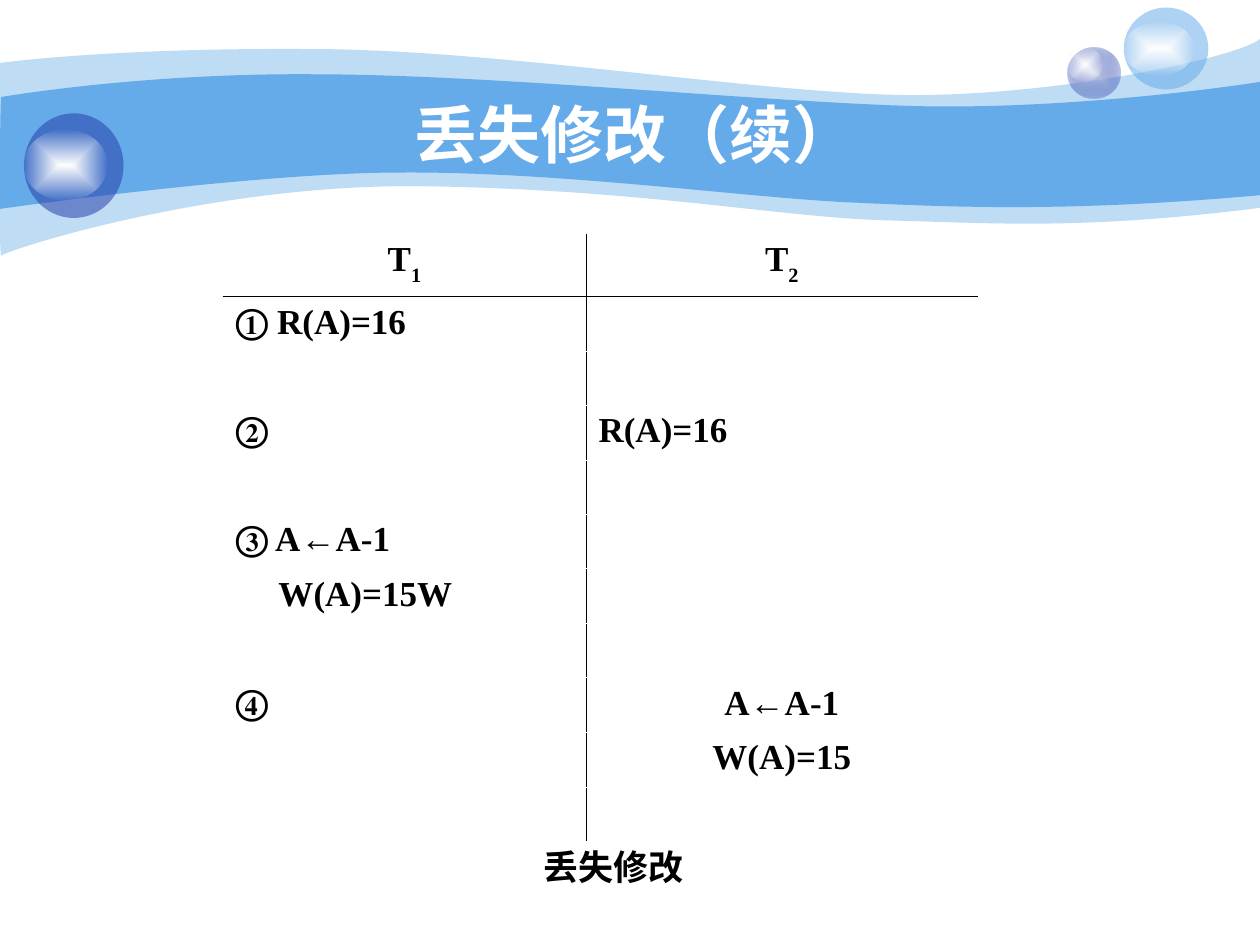
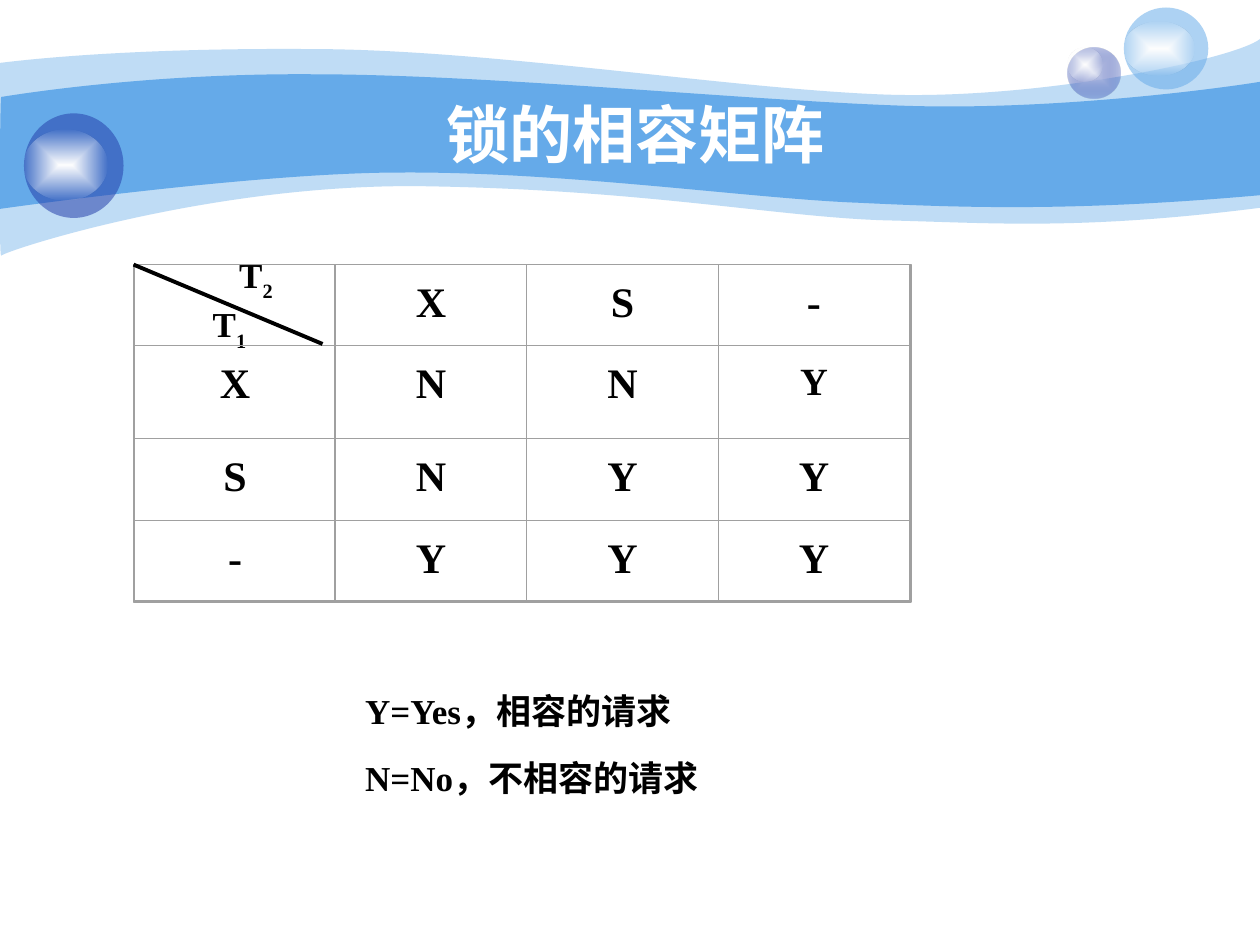
from dataclasses import dataclass

from pptx import Presentation
from pptx.dml.color import RGBColor
from pptx.enum.shapes import MSO_CONNECTOR, MSO_SHAPE
from pptx.enum.text import MSO_ANCHOR, PP_ALIGN
from pptx.oxml import parse_xml
from pptx.oxml.ns import nsdecls, qn
from pptx.util import Inches, Pt

LEFT, CENTER = PP_ALIGN.LEFT, PP_ALIGN.CENTER
OVAL, RECTANGLE = MSO_SHAPE.OVAL, MSO_SHAPE.RECTANGLE
STRAIGHT = MSO_CONNECTOR.STRAIGHT


@dataclass(frozen=True)
class Theme:
    sky: str = "65AAE9"
    navy: str = "233DA9"
    mist: str = "C7CEE9"
    white: str = "FFFFFF"
    black: str = "000000"
    gray: str = "A0A0A0"
    title_font: str = "Arial"
    body_font: str = "Times New Roman"
    title_size: int = 36
    matrix_size: int = 24
    small_matrix_size: int = 22
    body_size: int = 20
    cell_line: float = 0
    table_line: float = 0.45
    frame_line: float = 0.88
    diagonal_line: float = 2.25


THEME = Theme()

# Each wave: start point, then Bezier curves (six numbers) and straight lines (two).
PALE_WAVE = [
    (0, 0.5),
    (0.24, 0.47, 1.07, 0.38, 2.47, 0.39), (3.86, 0.39, 5.75, 0.7, 6.99, 0.75),
    (8.22, 0.8, 9.8, 0.47, 10, 0.31), (10, 1.65),
    (8.58, 1.83, 7.87, 1.77, 7.05, 1.75), (6.22, 1.73, 5.15, 1.51, 3.43, 1.48),
    (1.72, 1.44, 0.04, 1.99, 0.01, 2.03), (-0.01, 2.08, 0, 0.75, 0, 0.5),
]
DEEP_WAVE = [
    (0.01, 0.77),
    (0.02, 0.77, 1.1, 0.58, 2.48, 0.59), (3.86, 0.59, 5.95, 0.8, 7.18, 0.84),
    (8.41, 0.88, 9.76, 0.69, 10, 0.65), (10, 1.55),
    (8.53, 1.68, 7.65, 1.65, 6.82, 1.61), (5.99, 1.58, 4.47, 1.36, 3.17, 1.37),
    (2.03, 1.37, -0.02, 1.66, -0.01, 1.66), (0, 1.66, 0, 0.77, 0.01, 0.77),
]
# Opacity in percent follows each colour; two stops make a gradient.
WAVES = [(PALE_WAVE, [(THEME.sky, 41)]), (DEEP_WAVE, [(THEME.sky, 100)])]
GLOW = [(THEME.white, 100), (THEME.white, 0)]
BUBBLES = [
    ((8.47, 0.38, 0.42, 0.4), [(THEME.mist, 100), (THEME.navy, 31)]),
    ((8.47, 0.38, 0.28, 0.27), GLOW),
    ((8.92, 0.06, 0.67, 0.65), [(THEME.sky, 53)]),
    ((8.92, 0.17, 0.56, 0.43), GLOW),
    ((0.19, 0.9, 0.79, 0.83), [(THEME.navy, 53)]),
    ((0.19, 1.03, 0.66, 0.56), GLOW),
]
TITLE_BOX = (1, 0.75, 8.08, 0.62)

# An underscore starts a subscript.
SCHEDULE_TITLE = "丢失修改（续）"
SCHEDULE_CAPTION = "丢失修改"
SCHEDULE = [
    ("T_1", "T_2"),
    ("① R(A)=16", ""),
    ("", ""),
    ("②", "R(A)=16"),
    ("", ""),
    ("③ A←A-1", ""),
    ("W(A)=15W", ""),
    ("", ""),
    ("④", "A←A-1"),
    ("", "W(A)=15"),
    ("", ""),
]
SCHEDULE_COLUMNS = [2.88, 3.11]
SCHEDULE_ROWS = [0.49] + [0.43] * 10
CENTERED_CELLS = {(0, 0), (0, 1), (8, 1), (9, 1)}
STEP_INDENTS = {(6, 0): 0.34}

MATRIX_TITLE = "锁的相容矩阵"
MATRIX = [
    ("", "X", "S", "-"),
    ("X", "N", "N", "Y"),
    ("S", "N", "Y", "Y"),
    ("-", "Y", "Y", "Y"),
]
MATRIX_X = [1.07, 2.66, 4.18, 5.7, 7.22]
MATRIX_Y = [2.1, 2.74, 3.48, 4.13, 4.77]
MATRIX_FRAME = (1.06, 2.1, 6.17, 2.68)
CELL_PADDING = 0.155
CELL_TOP_INSET = 0.09
SMALL_CELL = (1, 3)
CORNER_LABELS = [("T_2", 0.34), ("T_1", 0.13)]
LEGEND = ["Y=Yes，相容的请求", "N=No，不相容的请求"]


def inches(values):
    return [Inches(value) for value in values]


def paint(shape, stops):
    """Fill with one colour or a rectangular gradient, each with its opacity."""
    shape.shadow.inherit = False
    shape.line.fill.background()
    shape.fill.background()
    colors = [
        f'<a:srgbClr val="{color}"><a:alpha val="{opacity * 1000}"/></a:srgbClr>'
        for color, opacity in stops
    ]
    if len(colors) == 1:
        xml = f'<a:solidFill {nsdecls("a")}>{colors[0]}</a:solidFill>'
    else:
        xml = (
            f'<a:gradFill {nsdecls("a")} rotWithShape="1"><a:gsLst>'
            f'<a:gs pos="0">{colors[0]}</a:gs><a:gs pos="100000">{colors[1]}</a:gs>'
            '</a:gsLst><a:path path="rect">'
            '<a:fillToRect l="50000" t="50000" r="50000" b="50000"/>'
            '</a:path></a:gradFill>'
        )
    properties = shape._element.spPr
    properties.replace(properties.find(qn("a:noFill")), parse_xml(xml))


def add_wave(slide, wave):
    """Lay out all points as lines, then join each curve's three into a Bezier."""
    points = [inches(part[index:index + 2])
              for part in wave for index in range(0, len(part), 2)]
    builder = slide.shapes.build_freeform(*points[0])
    builder.add_line_segments(points[1:], close=True)
    shape = builder.convert_to_shape()
    segments = iter(list(shape._element.iter(qn("a:lnTo"))))
    for part in wave[1:]:
        first = next(segments)
        if len(part) == 2:
            continue
        curve = parse_xml(f'<a:cubicBezTo {nsdecls("a")}/>')
        first.addprevious(curve)
        for segment in (first, next(segments), next(segments)):
            curve.append(segment[0])
            segment.getparent().remove(segment)
    return shape


def write(paragraph, text, size, font=THEME.body_font, color=THEME.black,
          align=LEFT, indent=0):
    paragraph.alignment = align
    if indent:
        paragraph._p.get_or_add_pPr().set("marL", str(Inches(indent)))
    for index, part in enumerate(text.split("_")):
        run = paragraph.add_run()
        run.text = part
        run.font.name = font
        run.font.size = Pt(size)
        run.font.bold = True
        run.font.color.rgb = RGBColor.from_string(color)
        if index:
            run.font._element.set("baseline", "-30000")


def add_text_frame(slide, box, wrap=True):
    frame = slide.shapes.add_textbox(*inches(box)).text_frame
    frame.word_wrap = wrap
    return frame


def add_base_slide(presentation, title):
    slide = presentation.slides.add_slide(presentation.slide_layouts[6])
    for wave, stops in WAVES:
        paint(add_wave(slide, wave), stops)
    for box, stops in BUBBLES:
        paint(slide.shapes.add_shape(OVAL, *inches(box)), stops)
    frame = add_text_frame(slide, TITLE_BOX)
    frame.vertical_anchor = MSO_ANCHOR.MIDDLE
    write(frame.paragraphs[0], title, THEME.title_size, THEME.title_font,
          THEME.white, CENTER)
    return slide


def set_schedule_borders(cell, row, column):
    """Rule only between the two columns and under the header."""
    ruled_sides = {"L": column == 1, "R": column == 0, "T": row == 1, "B": row == 0}
    properties = cell._tc.get_or_add_tcPr()
    for side, ruled in ruled_sides.items():
        color = THEME.black if ruled else THEME.white
        properties.append(parse_xml(
            f'<a:ln{side} {nsdecls("a")} w="{Pt(THEME.table_line)}"><a:solidFill>'
            f'<a:srgbClr val="{color}"/></a:solidFill></a:ln{side}>'
        ))


def add_schedule_slide(presentation):
    slide = add_base_slide(presentation, SCHEDULE_TITLE)
    table = slide.shapes.add_table(
        len(SCHEDULE_ROWS), len(SCHEDULE_COLUMNS),
        *inches((1.77, 1.86, sum(SCHEDULE_COLUMNS), sum(SCHEDULE_ROWS)))).table
    table.first_row = table.horz_banding = False
    for column, width in zip(table.columns, SCHEDULE_COLUMNS):
        column.width = Inches(width)
    for row, height in zip(table.rows, SCHEDULE_ROWS):
        row.height = Inches(height)
    for row, steps in enumerate(SCHEDULE):
        for column, step in enumerate(steps):
            place = (row, column)
            cell = table.cell(*place)
            set_schedule_borders(cell, row, column)
            cell.fill.background()
            if step:
                write(cell.text_frame.paragraphs[0], step, THEME.body_size,
                      align=CENTER if place in CENTERED_CELLS else LEFT,
                      indent=STEP_INDENTS.get(place, 0))
    caption = add_text_frame(slide, (3.84, 6.66, 2.06, 0.44), wrap=False)
    write(caption.paragraphs[0], SCHEDULE_CAPTION, THEME.body_size, align=CENTER)


def add_outline(slide, box, width):
    outline = slide.shapes.add_shape(RECTANGLE, *inches(box))
    outline.shadow.inherit = False
    outline.fill.background()
    outline.line.color.rgb = RGBColor.from_string(THEME.gray)
    outline.line.width = Pt(width)


def add_matrix_cell(slide, row, column):
    left, top = MATRIX_X[column], MATRIX_Y[row]
    width, height = MATRIX_X[column + 1] - left, MATRIX_Y[row + 1] - top
    lock = MATRIX[row][column]
    if lock:
        frame = add_text_frame(
            slide, (left + CELL_PADDING, top, width - 2 * CELL_PADDING, height))
        frame.margin_top = Inches(CELL_TOP_INSET)
        small = (row, column) == SMALL_CELL
        write(frame.paragraphs[0], lock,
              THEME.small_matrix_size if small else THEME.matrix_size, align=CENTER)
    add_outline(slide, (left, top, width, height), THEME.cell_line)


def add_matrix_slide(presentation):
    slide = add_base_slide(presentation, MATRIX_TITLE)
    legend = add_text_frame(slide, (2.8, 5.32, 3.07, 1.21))
    for index, line in enumerate(LEGEND):
        paragraph = legend.add_paragraph() if index else legend.paragraphs[0]
        paragraph.line_spacing = 1.3
        if index:
            paragraph.space_before = Pt(7.5)
        write(paragraph, line, THEME.body_size)

    corner = add_text_frame(slide, (1.46, 1.96, 0.88, 0.89))
    for index, (label, indent) in enumerate(CORNER_LABELS):
        paragraph = corner.add_paragraph() if index else corner.paragraphs[0]
        write(paragraph, label, THEME.body_size, indent=indent)

    for row, locks in enumerate(MATRIX):
        for column in range(len(locks)):
            add_matrix_cell(slide, row, column)
    add_outline(slide, MATRIX_FRAME, THEME.frame_line)

    diagonal = slide.shapes.add_connector(STRAIGHT, *inches((1.06, 2.1, 2.56, 2.73)))
    diagonal.line.color.rgb = RGBColor.from_string(THEME.black)
    diagonal.line.width = Pt(THEME.diagonal_line)
    diagonal._element.spPr.append(parse_xml(f'<a:effectLst {nsdecls("a")}/>'))


def main():
    presentation = Presentation()
    presentation.slide_width, presentation.slide_height = Inches(10), Inches(7.5)
    add_schedule_slide(presentation)
    add_matrix_slide(presentation)
    presentation.save("out.pptx")


if __name__ == "__main__":
    main()
